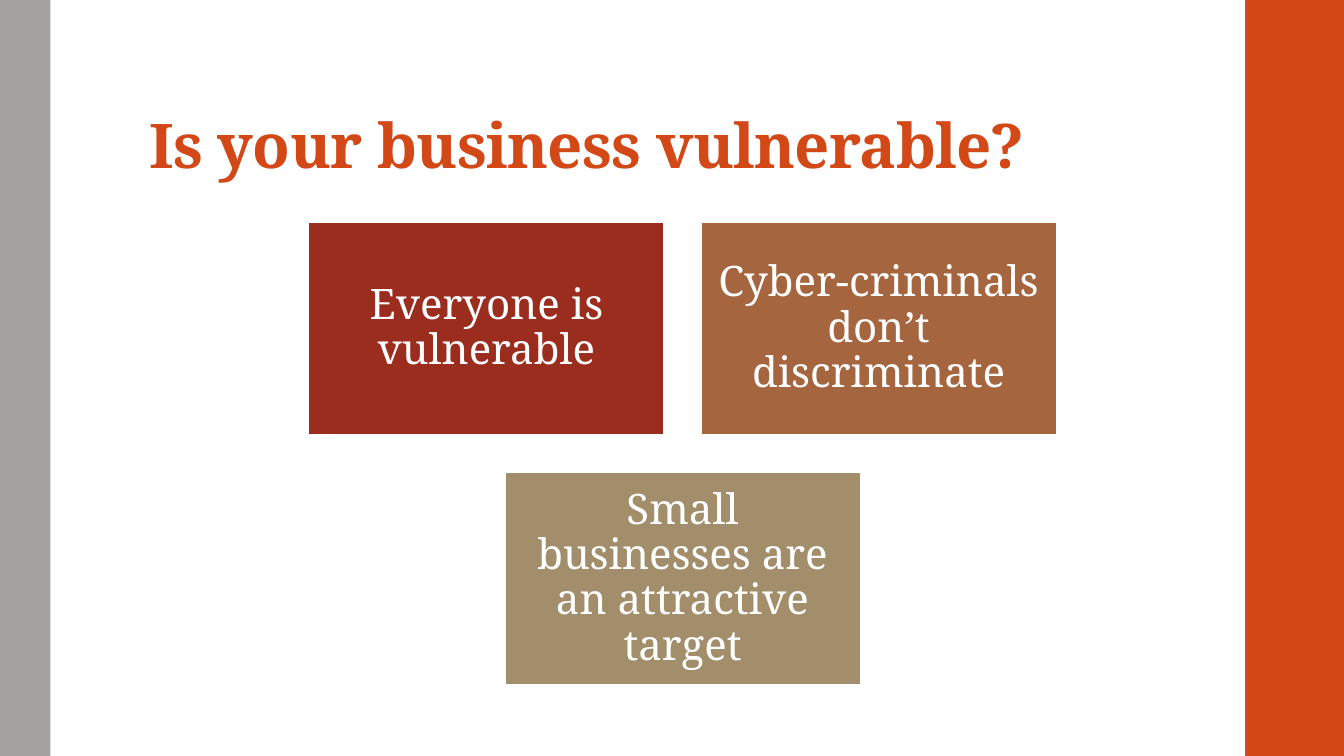
from pptx import Presentation
from pptx.dml.color import RGBColor
from pptx.enum.shapes import MSO_SHAPE
from pptx.enum.text import MSO_ANCHOR, MSO_AUTO_SIZE, PP_ALIGN
from pptx.util import Inches, Pt

ORANGE = RGBColor(0xD3, 0x48, 0x17)
GRAY = RGBColor(0xA6, 0xA1, 0xA1)
RED = RGBColor(0x9B, 0x2D, 0x1F)
BROWN = RGBColor(0xA4, 0x65, 0x3F)
TAN = RGBColor(0xA2, 0x8E, 0x6A)
WHITE = RGBColor(0xFF, 0xFF, 0xFF)
FONT = "Noto Serif"
WIDTH, HEIGHT = 13.33, 7.5

CARDS = [
    ("Everyone is vulnerable", RED),
    ("Cyber-criminals don’t discriminate", BROWN),
    ("Small businesses are an attractive target", TAN),
]


def add_rectangle(page, left, top, width, height, color):
    box = page.shapes.add_shape(
        MSO_SHAPE.RECTANGLE, Inches(left), Inches(top), Inches(width), Inches(height)
    )
    box.shadow.inherit = False
    box.fill.solid()
    box.fill.fore_color.rgb = color
    box.line.fill.background()
    return box


def set_margins(frame, left, top, right, bottom):
    frame.margin_left, frame.margin_top = Inches(left), Inches(top)
    frame.margin_right, frame.margin_bottom = Inches(right), Inches(bottom)


def style_paragraph(para, size, color, alignment):
    para.alignment = alignment
    para.line_spacing = 0.9
    para.font.name = FONT
    para.font.size = Pt(size)
    para.font.color.rgb = color


def add_side_bars(page):
    add_rectangle(page, 12.35, 0, WIDTH - 12.35, HEIGHT, ORANGE)
    add_rectangle(page, 0, 0, 0.5, HEIGHT, GRAY)


def place_title(page, left, top, width, height, text):
    title = page.shapes.title
    title.left, title.top = Inches(left), Inches(top)
    title.width, title.height = Inches(width), Inches(height)
    frame = title.text_frame
    frame.text = text
    frame.word_wrap = True
    frame.auto_size = MSO_AUTO_SIZE.NONE
    frame.vertical_anchor = MSO_ANCHOR.BOTTOM
    set_margins(frame, 0.1, 0.03, 0.1, 0.05)
    para = frame.paragraphs[0]
    style_paragraph(para, 44, ORANGE, PP_ALIGN.LEFT)
    para.font.bold = True
    para.runs[0].font.bold = True
    para.runs[0]._r.get_or_add_rPr().set("spc", "-50")


def add_card(page, left, top, width, height, text, color):
    card = add_rectangle(page, left, top, width, height, color)
    card.line.color.rgb = WHITE
    card.line.width = Pt(1.35)
    frame = card.text_frame
    frame.text = text
    frame.word_wrap = True
    frame.vertical_anchor = MSO_ANCHOR.MIDDLE
    set_margins(frame, 0.12, 0.12, 0.12, 0.12)
    style_paragraph(frame.paragraphs[0], 30, WHITE, PP_ALIGN.CENTER)


def add_card_grid(page, left, top, width, height, cards, columns=2, gap=0.36):
    rows = [cards[start:start + columns] for start in range(0, len(cards), columns)]
    card_width = (width - gap * (columns - 1)) / columns
    card_height = (height - gap * (len(rows) - 1)) / len(rows)
    for row_index, row in enumerate(rows):
        row_width = len(row) * (card_width + gap) - gap
        row_left = left + (width - row_width) / 2
        row_top = top + row_index * (card_height + gap)
        for column, (text, color) in enumerate(row):
            card_left = row_left + column * (card_width + gap)
            add_card(page, card_left, row_top, card_width, card_height, text, color)


def main():
    deck = Presentation()
    deck.slide_width, deck.slide_height = Inches(WIDTH), Inches(HEIGHT)
    page = deck.slides.add_slide(deck.slide_layouts[5])
    add_side_bars(page)
    place_title(page, 1.38, 0.4, 10.78, 1.45, "Is your business vulnerable?")
    add_card_grid(page, 3.06, 2.2, 7.42, 4.6, CARDS)
    deck.save("out.pptx")


if __name__ == "__main__":
    main()
